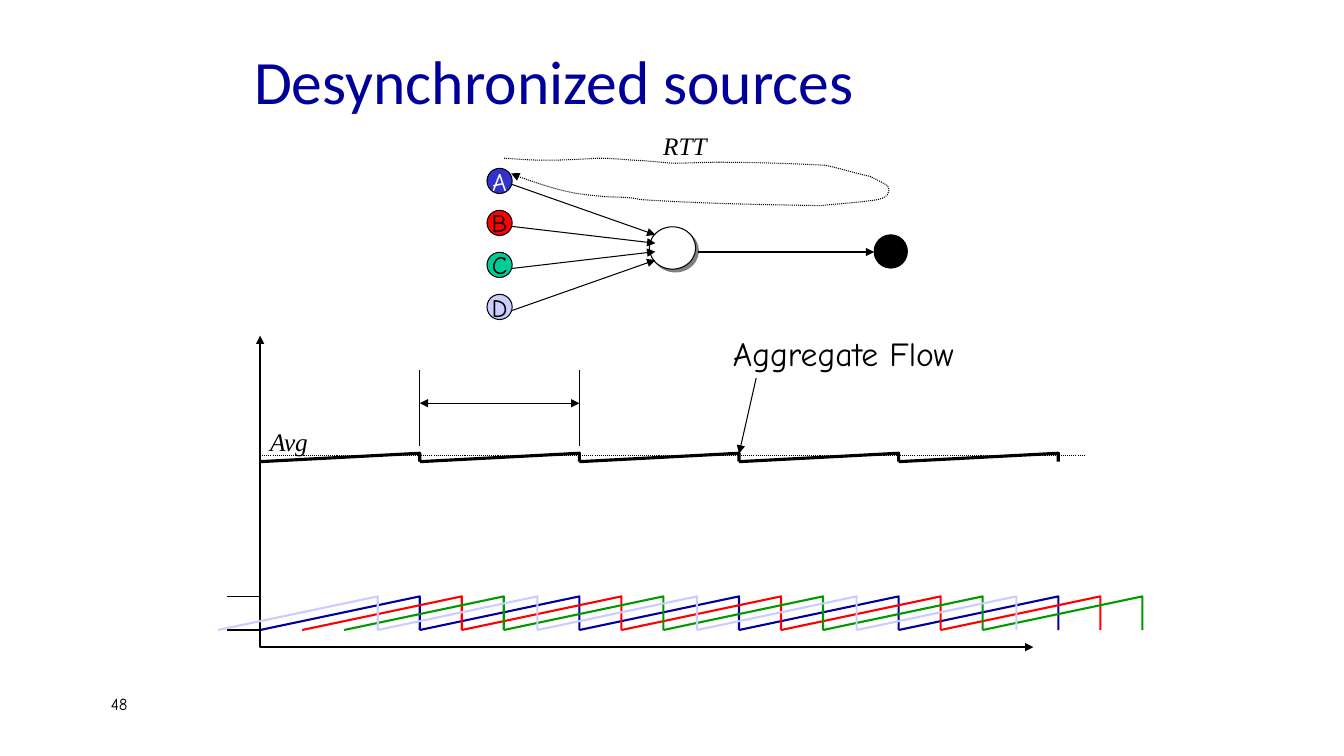
from lxml.etree import SubElement
from pptx import Presentation
from pptx.dml.color import RGBColor
from pptx.enum.dml import MSO_LINE as Dash
from pptx.enum.shapes import MSO_CONNECTOR as Link, MSO_SHAPE as Form
from pptx.enum.text import MSO_ANCHOR as Anchor, MSO_AUTO_SIZE as Auto, PP_ALIGN as Align
from pptx.oxml.ns import qn
from pptx.util import Inches, Pt

BLACK = RGBColor(0, 0, 0)
WHITE = RGBColor(0xFF, 0xFF, 0xFF)
NAVY = RGBColor(0, 0, 0x99)
BLUE = RGBColor(0x33, 0x33, 0xCC)
RED = RGBColor(0xFF, 0, 0)
TEAL = RGBColor(0, 0xCC, 0x99)
GREEN = RGBColor(0, 0x99, 0)
LILAC = RGBColor(0xCC, 0xCC, 0xFF)
COMIC, TIMES = "Comic Neue", "Times New Roman"

STEP = 19 / 12
PITCH = 5 / 12
SOURCES = [("A", BLUE, WHITE), ("B", RED, BLACK), ("C", TEAL, BLACK), ("D", LILAC, BLACK)]
FLOWS = [(NAVY, 0), (RED, 1), (GREEN, 2), (LILAC, -1)]
LOOP = [
    (0, 0), (.17, .01), (.22, .02), (.45, .02), (.61, .02), (.93, 0), (.93, 0),
    (1.05, 0), (1.16, .01), (1.28, .02), (1.34, .02), (1.45, .03), (1.45, .03),
    (1.79, .06), (1.58, .05), (2.08, .04), (2.45, .04), (2.81, .05), (3.18, .07),
    (3.34, .1), (3.48, .15), (3.63, .18), (3.69, .21), (3.75, .24), (3.8, .27),
    (3.85, .34), (3.78, .4), (3.71, .41), (3.52, .44), (3.33, .45), (3.14, .47),
    (2.52, .46), (1.96, .45), (1.35, .41), (1.24, .38), (1.1, .39), (.99, .38),
    (.88, .37), (.77, .36), (.67, .34), (.47, .3), (.29, .23), (.1, .17),
    (.09, .17), (.07, .15), (.07, .15),
]


def stroke(shape, color=BLACK, width=.75, dots=False, ends=()):
    shape.line.color.rgb = color
    shape.line.width = Pt(width)
    if dots:
        shape.line.dash_style = Dash.ROUND_DOT
    props = shape._element.spPr
    for end in ends:
        SubElement(props.find(qn("a:ln")), qn(f"a:{end}End"), type="triangle")
    return SubElement(props, qn("a:effectLst"))


def wire(shapes, x1, y1, x2, y2, **look):
    line = shapes.add_connector(Link.STRAIGHT, *map(Inches, (x1, y1, x2, y2)))
    stroke(line, **look)


def trace(shapes, points, **look):
    dots = [(Inches(x), Inches(y)) for x, y in points]
    pen = shapes.build_freeform(*dots[0])
    pen.add_line_segments(dots[1:], close=False)
    shape = pen.convert_to_shape()
    shape.fill.background()
    stroke(shape, **look)
    return shape


def bend(shape):
    route = next(shape._element.iter(qn("a:path")))
    legs = route.findall(qn("a:lnTo"))
    for i in range(0, len(legs), 3):
        curve = SubElement(route, qn("a:cubicBezTo"))
        for leg in legs[i:i + 3]:
            curve.append(leg[0])
            route.remove(leg)


def label(shapes, text, x, y, w, h, size, face, italic=False):
    frame = shapes.add_textbox(*map(Inches, (x, y, w, h))).text_frame
    frame.word_wrap = False
    frame.auto_size = Auto.SHAPE_TO_FIT_TEXT
    write(frame, text, size, face, BLACK, italic)


def write(frame, text, size, face, color, italic=False):
    frame.text = text
    font = frame.paragraphs[0].font
    font.name, font.size, font.italic = face, Pt(size), italic
    font.color.rgb = color


def node(shapes, x, y, w, h, fill):
    disc = shapes.add_shape(Form.OVAL, *map(Inches, (x, y, w, h)))
    disc.fill.solid()
    disc.fill.fore_color.rgb = fill
    return disc, stroke(disc)


def heading(slide, x, y, w, h):
    title = slide.shapes.title
    title.left, title.top, title.width, title.height = map(Inches, (x, y, w, h))
    frame = title.text_frame
    frame.vertical_anchor = Anchor.MIDDLE
    write(frame, "Desynchronized sources", 44, "Calibri", NAVY)
    frame.paragraphs[0].alignment = Align.LEFT


def network(shapes, x, y):
    for i, (name, fill, ink) in enumerate(SOURCES):
        disc, _ = node(shapes, x, y + .43 + i * PITCH, .25, .25, fill)
        frame = disc.text_frame
        frame.word_wrap = False
        frame.vertical_anchor = Anchor.MIDDLE
        write(frame, name, 18, COMIC, ink)
        frame.paragraphs[0].alignment = Align.CENTER
    _, effects = node(shapes, x + 1.61, y + 1.01, .46, .42, WHITE)
    shade = SubElement(effects, qn("a:outerShdw"), dist=str(Pt(2.8)), dir="2700000",
                       algn="ctr", rotWithShape="0")
    SubElement(shade, qn("a:srgbClr"), val="808080")
    for i in range(len(SOURCES)):
        wire(shapes, x + .25, y + .59 + i * PITCH, x + 1.67, y + 1.09 + i / 12, ends=["tail"])
    wire(shapes, x + 2.09, y + 1.26, x + 3.84, y + 1.26, ends=["tail"])
    node(shapes, x + 3.84, y + 1.09, .33, .33, BLACK)
    loop = [(x + .17 + dx, y + .33 + dy) for dx, dy in LOOP]
    bend(trace(shapes, loop, dots=True, ends=["tail"]))
    label(shapes, "RTT", x + 1.65, y, .63, .4, 18, TIMES, True)


def teeth(shapes, x, y, rise, **look):
    for i in range(5):
        left, right = x + i * STEP, x + (i + 1) * STEP
        trace(shapes, [(left, y), (right, y - rise), (right, y)], **look)


def graph(shapes, x, y):
    base = y + 2.92
    both = ["head", "tail"]
    trace(shapes, [(x, y), (x, y + 3.09), (x + 7.67, y + 3.09)], width=1.5, ends=both)
    for i in (1, 2):
        wire(shapes, x + i * STEP, y + .34, x + i * STEP, y + 1.09)
    wire(shapes, x + 4.92, y + .42, x + 4.75, y + 1.17, ends=["tail"])
    label(shapes, "Aggregate Flow", x + 4.59, y - .08, 2.62, .5, 24, COMIC)
    wire(shapes, x + STEP, y + .67, x + 2 * STEP, y + .67, ends=both)
    teeth(shapes.add_group_shape().shapes, x, y + 1.25, 1 / 12, width=2.25)
    for level in (base, base - 1 / 3):
        wire(shapes, x - .33, level, x, level)
    flows = shapes.add_group_shape().shapes
    for color, shift in FLOWS:
        teeth(flows, x + shift * PITCH, base, 1 / 3, color=color, width=1.5)
    wire(shapes, x, y + 1.19, x + 8.17, y + 1.19, dots=True)
    label(shapes, "Avg", x, y + .85, .59, .4, 18, TIMES, True)


def main():
    deck = Presentation()
    deck.slide_width, deck.slide_height = Inches(13.33), Inches(7.5)
    slide = deck.slides.add_slide(deck.slide_layouts[5])
    label(slide.shapes, "48", 1, 6.83, 2.78, .5, 12, COMIC)
    heading(slide, 2.42, .17, 8.5, 1.25)
    graph(slide.shapes, 2.58, 3.33)
    network(slide.shapes, 4.83, 1.24)
    deck.save("out.pptx")


if __name__ == "__main__":
    main()
